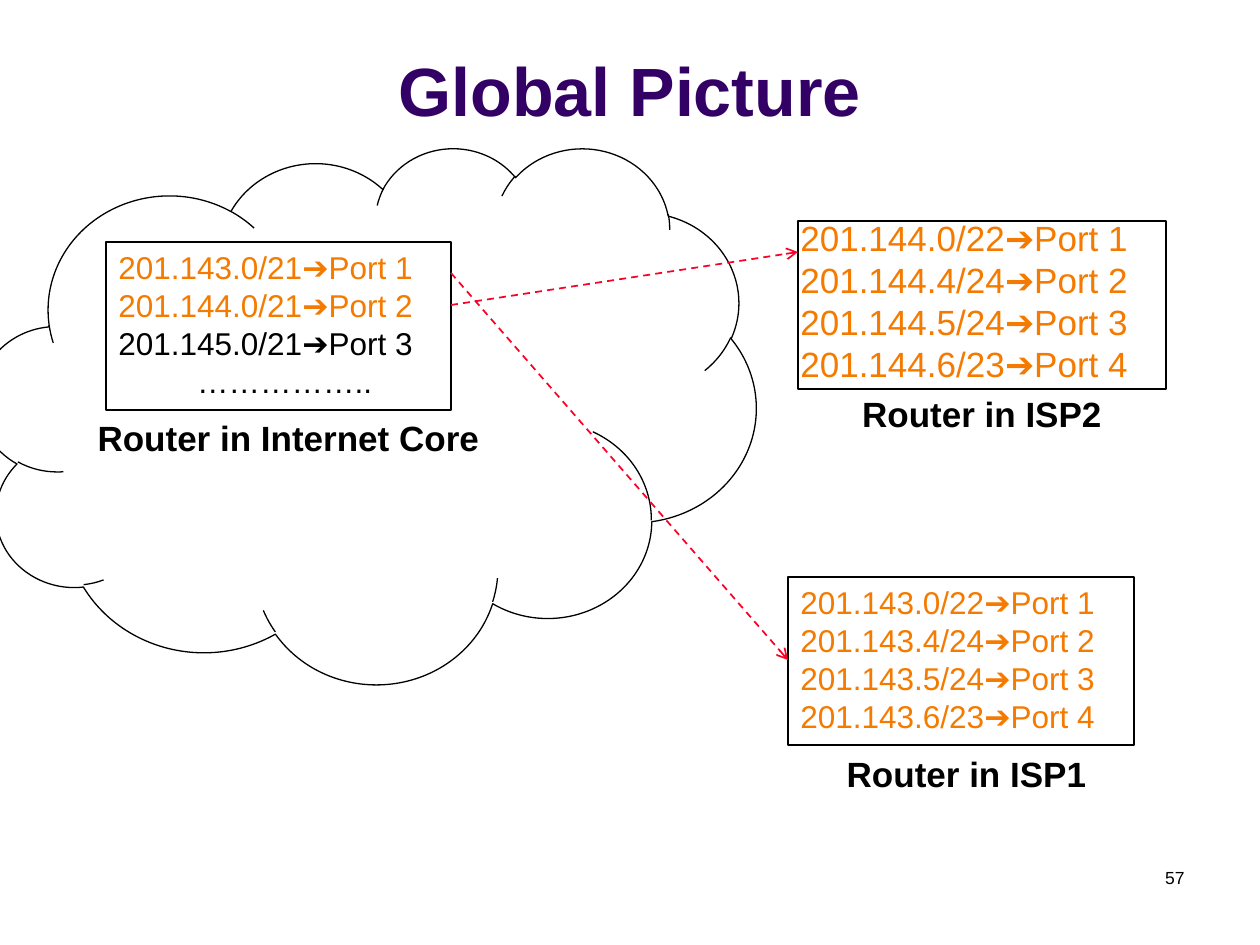
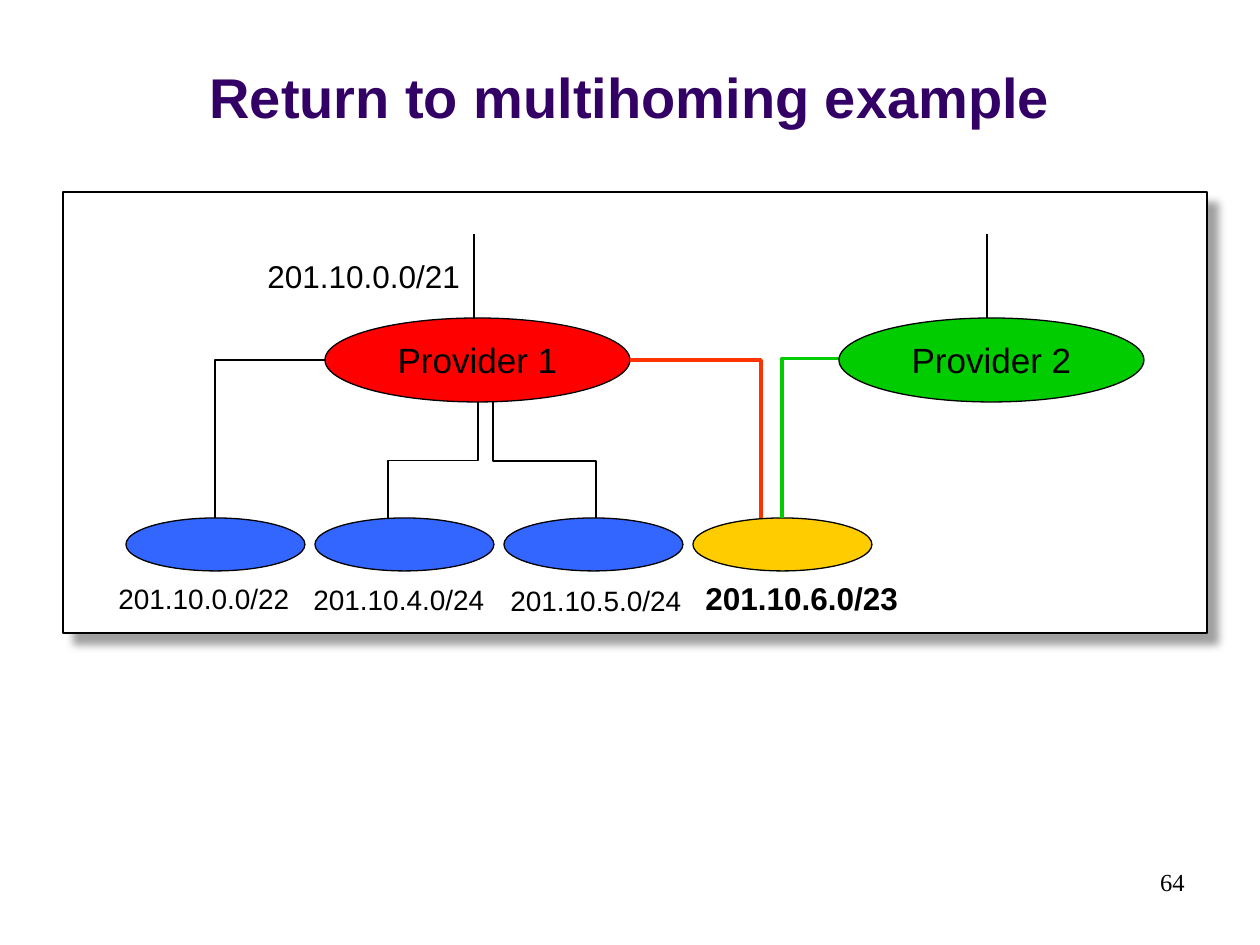
from lxml.etree import SubElement
from pptx import Presentation
from pptx.dml.color import RGBColor
from pptx.enum.dml import MSO_LINE
from pptx.enum.shapes import MSO_CONNECTOR, MSO_SHAPE
from pptx.enum.text import MSO_ANCHOR, MSO_AUTO_SIZE, PP_ALIGN
from pptx.oxml.ns import qn
from pptx.util import Pt

EMU_PER_PX = 914400 / 126
SLIDE_SIZE = (1260, 945)
TITLE_ONLY = 5
BLACK, WHITE = "000000", "FFFFFF"
TITLE_PURPLE, ROUTE_ORANGE, ARROW_RED = "330066", "F47A00", "FC0128"
PROVIDER_RED, PROVIDER_GREEN = "FF0000", "00CC00"
LINK_RED, CUSTOMER_BLUE, CUSTOMER_GOLD = "FF3300", "3366FF", "FFCC00"


def px(length):
    return round(length * EMU_PER_PX)


def box_emu(box):
    return [px(length) for length in box]


def color(hex_string):
    return RGBColor.from_string(hex_string)


def write(frame, lines, size=18, colors=(BLACK,), font="Arial", bold=False,
          align=PP_ALIGN.LEFT, last_align=None, anchor=MSO_ANCHOR.TOP, wrap=True):
    frame.auto_size = MSO_AUTO_SIZE.NONE
    frame.word_wrap = wrap
    frame.vertical_anchor = anchor
    for index, line in enumerate(lines):
        paragraph = frame.paragraphs[0] if index == 0 else frame.add_paragraph()
        paragraph.alignment = align
        run = paragraph.add_run()
        run.text = line
        run.font.name = font
        run.font.size = Pt(size)
        run.font.bold = bold
        run.font.color.rgb = color(colors[min(index, len(colors) - 1)])
    if last_align is not None:
        paragraph.alignment = last_align


def add_label(slide, box, *lines, **text_format):
    label = slide.shapes.add_textbox(*box_emu(box))
    write(label.text_frame, lines, **text_format)


def add_outline(slide, preset, box, fill=None):
    outline = slide.shapes.add_shape(preset, *box_emu(box))
    outline.shadow.inherit = False
    if fill:
        outline.fill.solid()
        outline.fill.fore_color.rgb = color(fill)
    else:
        outline.fill.background()
    outline.line.color.rgb = color(BLACK)
    outline.line.width = Pt(0.75)
    return outline


def add_titled_slide(deck, title, title_size, number, number_size, number_font):
    slide = deck.slides.add_slide(deck.slide_layouts[TITLE_ONLY])
    heading = slide.shapes.title
    heading.left, heading.top, heading.width, heading.height = box_emu((0, 16, 1260, 120))
    write(heading.text_frame, [title], size=title_size, colors=[TITLE_PURPLE],
          bold=True, align=PP_ALIGN.CENTER, anchor=MSO_ANCHOR.BOTTOM)
    add_label(slide, (903, 861, 294, 63), number, size=number_size,
              font=number_font, align=PP_ALIGN.RIGHT)
    return slide


def style_line(connector, hex_string, width):
    connector.line.color.rgb = color(hex_string)
    connector.line.width = Pt(width)
    SubElement(connector._element.spPr, qn("a:effectLst"))


def add_line(slide, start, end, hex_string=BLACK, width=0.75, arrow=False):
    line = slide.shapes.add_connector(MSO_CONNECTOR.STRAIGHT, *box_emu(start + end))
    style_line(line, hex_string, width)
    if arrow:
        line.line.dash_style = MSO_LINE.DASH
        SubElement(line.line._get_or_add_ln(), qn("a:tailEnd"), type="arrow")


def add_elbow(slide, start, end, turn=0, flip=None, bend=None,
              hex_string=BLACK, width=0.75):
    half_width, half_height = (abs(b - a) / 2 for a, b in zip(start, end))
    center_x, center_y = ((a + b) / 2 for a, b in zip(start, end))
    if turn in (90, 270):
        half_width, half_height = half_height, half_width
    elbow = slide.shapes.add_connector(
        MSO_CONNECTOR.ELBOW,
        px(center_x - half_width), px(center_y - half_height),
        px(center_x + half_width), px(center_y + half_height))
    style_line(elbow, hex_string, width)
    properties = elbow._element.spPr
    transform = properties.find(qn("a:xfrm"))
    transform.set("rot", str(turn * 60000))
    if flip:
        transform.set(flip, "1")
    geometry = properties.find(qn("a:prstGeom"))
    if bend is None:
        geometry.set("prst", "bentConnector2")
    else:
        guides = geometry.find(qn("a:avLst"))
        if guides is None:
            guides = SubElement(geometry, qn("a:avLst"))
        SubElement(guides, qn("a:gd"), name="adj1", fmla=f"val {round(bend * 100000)}")


def add_panel(slide, box):
    panel = add_outline(slide, MSO_SHAPE.RECTANGLE, box, fill=WHITE)
    effects = panel._element.spPr.find(qn("a:effectLst"))
    shadow = SubElement(effects, qn("a:outerShdw"), blurRad=str(Pt(5)),
                        dist=str(Pt(8.5)), dir=str(45 * 60000),
                        algn="tl", rotWithShape="0")
    tint = SubElement(shadow, qn("a:srgbClr"), val="808080")
    SubElement(tint, qn("a:alpha"), val="75000")


def add_router(slide, frame, routes_box, routes, name, name_box, **routes_format):
    add_outline(slide, MSO_SHAPE.RECTANGLE, frame)
    add_label(slide, routes_box, *routes, **routes_format)
    add_label(slide, name_box, name, size=20, bold=True, align=PP_ALIGN.CENTER)


def isp_routes(prefix):
    subnets = ("0/22", "4/24", "5/24", "6/23")
    return [f"{prefix}.{subnet}➔Port {port}" for port, subnet in enumerate(subnets, 1)]


def add_provider(slide, name, left, fill):
    provider = add_outline(slide, MSO_SHAPE.OVAL, (left, 318, 305, 84), fill)
    write(provider.text_frame, [name], size=20, align=PP_ALIGN.CENTER,
          anchor=MSO_ANCHOR.MIDDLE, wrap=False)


def build_global_picture(deck):
    slide = add_titled_slide(deck, "Global Picture", 39, "57", 10, "Arial")
    add_outline(slide, MSO_SHAPE.CLOUD, (-21, 147, 777, 536))
    core_routes = [f"201.{142 + port}.0/21➔Port {port}" for port in (1, 2, 3)]
    add_router(slide, (106, 242, 345, 168), (106, 242, 357, 165),
               core_routes + ["…………….."], "Router in Internet Core",
               (73, 410, 431, 55), colors=[ROUTE_ORANGE, ROUTE_ORANGE, BLACK],
               last_align=PP_ALIGN.CENTER)
    add_router(slide, (788, 577, 346, 168), (788, 577, 335, 165),
               isp_routes("201.143"), "Router in ISP1", (788, 746, 357, 55),
               colors=[ROUTE_ORANGE])
    add_router(slide, (798, 221, 368, 168), (788, 210, 378, 183),
               isp_routes("201.144"), "Router in ISP2", (798, 386, 368, 55),
               colors=[ROUTE_ORANGE], size=20)
    for start, end in (((451, 305), (798, 252)), ((451, 273), (788, 660))):
        add_line(slide, start, end, ARROW_RED, 1, arrow=True)


def build_multihoming(deck):
    slide = add_titled_slide(deck, "Return to multihoming example", 32,
                             "64", 14, "Times New Roman")
    add_panel(slide, (63, 192, 1144, 441))
    add_label(slide, (255, 251, 218, 50), "201.10.0.0/21", wrap=False)

    customers = (
        ("201.10.0.0/22", (106, 575, 197, 47), CUSTOMER_BLUE, 16),
        ("201.10.4.0/24", (301, 576, 197, 47), CUSTOMER_BLUE, 16),
        ("201.10.5.0/24", (498, 577, 197, 47), CUSTOMER_BLUE, 16),
        ("201.10.6.0/23", (693, 573, 218, 50), CUSTOMER_GOLD, 18),
    )
    for index, (network, label_box, fill, size) in enumerate(customers):
        add_outline(slide, MSO_SHAPE.OVAL, (126 + 189 * index, 518, 179, 53), fill)
        add_label(slide, label_box, network, size=size,
                  bold=fill == CUSTOMER_GOLD, wrap=False)

    add_provider(slide, "Provider 1", 325, PROVIDER_RED)
    add_elbow(slide, (325, 360), (215, 518), turn=180, flip="flipV")
    add_elbow(slide, (478, 402), (388, 519), turn=90, bend=0.5)
    add_elbow(slide, (493, 402), (596, 518), turn=270, flip="flipH", bend=0.51)
    add_elbow(slide, (630, 360), (761, 518), hex_string=LINK_RED, width=2)
    add_elbow(slide, (839, 360), (782, 518), turn=90, bend=-0.01,
              hex_string=PROVIDER_GREEN, width=2)
    for uplink in (474, 987):
        add_line(slide, (uplink, 319), (uplink, 234))
    add_provider(slide, "Provider 2", 839, PROVIDER_GREEN)


def main():
    deck = Presentation()
    deck.slide_width, deck.slide_height = box_emu(SLIDE_SIZE)
    build_global_picture(deck)
    build_multihoming(deck)
    deck.save("out.pptx")


if __name__ == "__main__":
    main()
